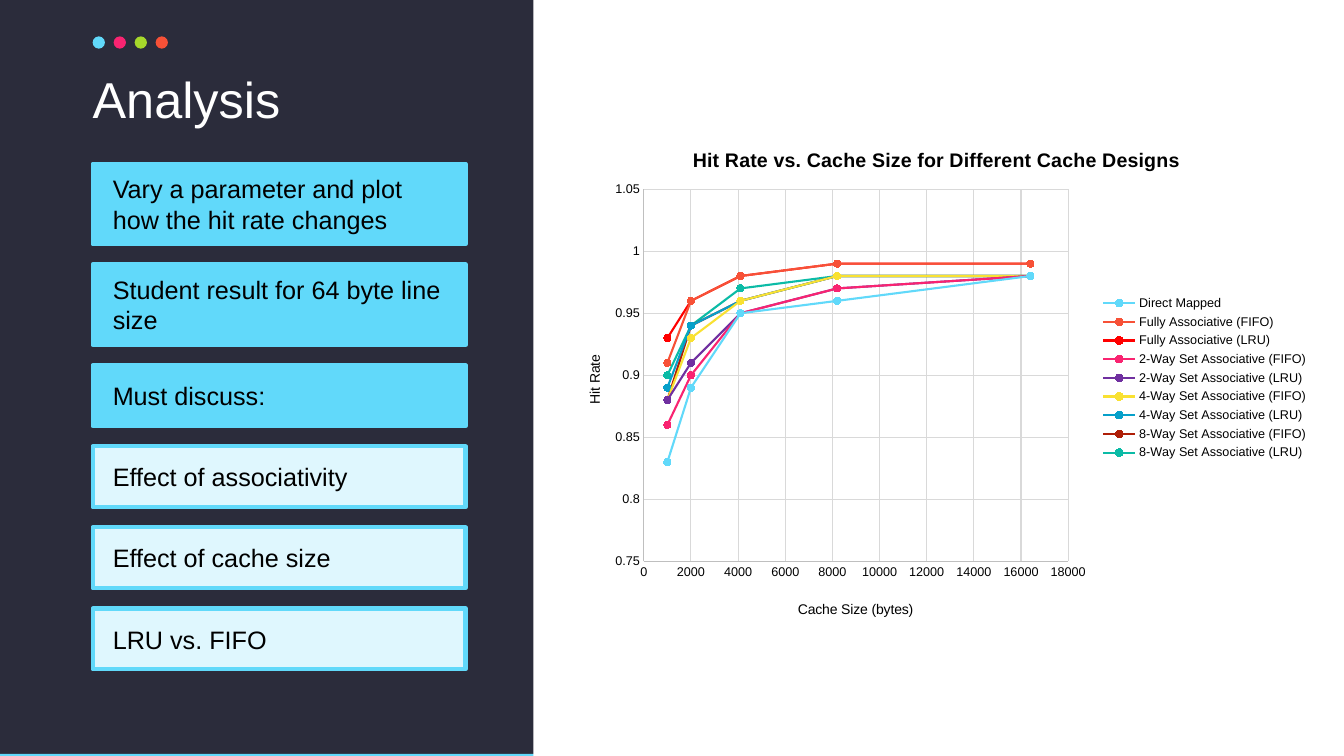
"""Build the Analysis slide with a hit rate chart."""
from lxml import etree
from pptx import Presentation
from pptx.chart.data import XyChartData
from pptx.dml.color import RGBColor
from pptx.enum.chart import XL_CHART_TYPE, XL_LEGEND_POSITION, XL_MARKER_STYLE, XL_TICK_MARK
from pptx.enum.shapes import MSO_SHAPE
from pptx.enum.text import MSO_ANCHOR, MSO_AUTO_SIZE, PP_ALIGN
from pptx.oxml.ns import qn
from pptx.util import Pt

RECT, OVAL = MSO_SHAPE.RECTANGLE, MSO_SHAPE.OVAL
SCATTER = XL_CHART_TYPE.XY_SCATTER_LINES
LEGEND_RIGHT = XL_LEGEND_POSITION.RIGHT
CIRCLE = XL_MARKER_STYLE.CIRCLE
NO_TICK = XL_TICK_MARK.NONE
TOP, MIDDLE = MSO_ANCHOR.TOP, MSO_ANCHOR.MIDDLE
GROW = MSO_AUTO_SIZE.SHAPE_TO_FIT_TEXT
LEFT = PP_ALIGN.LEFT

NAVY = RGBColor(0x2B, 0x2C, 0x3B)
WHITE = RGBColor(0xFF, 0xFF, 0xFF)
BLACK = RGBColor(0x00, 0x00, 0x00)
SKY = RGBColor(0x61, 0xD9, 0xFA)
PALE = RGBColor(0xDF, 0xF7, 0xFE)
PINK = RGBColor(0xF9, 0x24, 0x71)
LIME = RGBColor(0xA6, 0xD8, 0x2B)
ORANGE = RGBColor(0xF7, 0x51, 0x37)
RED = RGBColor(0xFF, 0x00, 0x00)
PURPLE = RGBColor(0x70, 0x30, 0xA0)
YELLOW = RGBColor(0xF9, 0xE1, 0x32)
BLUE = RGBColor(0x06, 0xA0, 0xCA)
BROWN = RGBColor(0xAE, 0x1E, 0x07)
TEAL = RGBColor(0x0B, 0xBB, 0xA6)
AXIS_GREY = RGBColor(0xBF, 0xBF, 0xBF)
GRID_GREY = RGBColor(0xD9, 0xD9, 0xD9)
FONT = "Arial"
MARGIN = 66.2


def add_block(kind, left, top, width, height, fill):
    sp = s.shapes.add_shape(kind, Pt(left), Pt(top), Pt(width), Pt(height))
    sp.shadow.inherit = False
    sp.fill.solid()
    sp.fill.fore_color.rgb = fill
    sp.line.fill.background()
    return sp


def set_layout(parent, **values):
    for old in parent.findall(qn("c:layout")):
        parent.remove(old)
    layout = etree.Element(qn("c:layout"))
    manual = etree.SubElement(layout, qn("c:manualLayout"))
    for name, value in values.items():
        etree.SubElement(manual, qn("c:" + name)).set("val", str(value))
    tx = parent.find(qn("c:tx"))
    parent.insert(0 if tx is None else 1, layout)


prs = Presentation()
prs.slide_width, prs.slide_height = Pt(960), Pt(540)
s = prs.slides.add_slide(prs.slide_layouts[5])
s.background.fill.solid()
s.background.fill.fore_color.rgb = NAVY

for i, color in enumerate([SKY, PINK, LIME, ORANGE]):
    add_block(OVAL, MARGIN + 15 * i, 26, 8.8, 8.8, color)
add_block(RECT, 0, 538.5, 960, 1.5, SKY)
add_block(RECT, 381, 0, 579, 540, WHITE)

title = s.shapes.title
title.left, title.top, title.width, title.height = Pt(MARGIN), Pt(53.3), Pt(368.6), Pt(78.5)
tf = title.text_frame
tf.margin_left = tf.margin_right = tf.margin_top = tf.margin_bottom = 0
tf.vertical_anchor = TOP
tf.auto_size = GROW
p = tf.paragraphs[0]
p.alignment = LEFT
p.line_spacing = 0.9
r = p.add_run()
r.text = "Analysis"
r.font.name, r.font.size = FONT, Pt(36)
r.font.color.rgb = WHITE

box_top = 116.9
for text, height, fill in [
    ("Vary a parameter and plot how the hit rate changes", 57.6, SKY),
    ("Student result for 64 byte line size", 57.6, SKY),
    ("Must discuss:", 43.5, SKY),
    ("Effect of associativity", 43.5, PALE),
    ("Effect of cache size", 43.5, PALE),
    ("LRU vs. FIFO", 43.5, PALE),
]:
    sp = add_block(RECT, MARGIN, box_top, 266.4, height, fill)
    sp.line.color.rgb = SKY
    sp.line.width = Pt(3)
    tf = sp.text_frame
    tf.word_wrap = True
    tf.vertical_anchor = MIDDLE
    tf.margin_left = tf.margin_right = tf.margin_top = tf.margin_bottom = Pt(14.4)
    p = tf.paragraphs[0]
    p.alignment = LEFT
    r = p.add_run()
    r.text = text
    r.font.name, r.font.size = FONT, Pt(18)
    r.font.color.rgb = BLACK
    box_top += height + 14.4

cache_sizes = [1000, 2000, 4100, 8200, 16400]
designs = [
    ("Direct Mapped", SKY, [0.83, 0.89, 0.95, 0.96, 0.98]),
    ("Fully Associative (FIFO)", ORANGE, [0.91, 0.96, 0.98, 0.99, 0.99]),
    ("Fully Associative (LRU)", RED, [0.93, 0.96, 0.98, 0.99, 0.99]),
    ("2-Way Set Associative (FIFO)", PINK, [0.86, 0.9, 0.95, 0.97, 0.98]),
    ("2-Way Set Associative (LRU)", PURPLE, [0.88, 0.91, 0.95, 0.97, 0.98]),
    ("4-Way Set Associative (FIFO)", YELLOW, [0.88, 0.93, 0.96, 0.98, 0.98]),
    ("4-Way Set Associative (LRU)", BLUE, [0.89, 0.94, 0.96, 0.98, 0.98]),
    ("8-Way Set Associative (FIFO)", BROWN, [0.88, 0.94, 0.96, 0.98, 0.98]),
    ("8-Way Set Associative (LRU)", TEAL, [0.9, 0.94, 0.97, 0.98, 0.98]),
]
data = XyChartData()
for name, _, rates in designs:
    series = data.add_series(name)
    for size, rate in zip(cache_sizes, rates):
        series.add_data_point(size, rate)

chart = s.shapes.add_chart(SCATTER, Pt(400.3), Pt(87.8), Pt(541.4), Pt(364.3), data).chart
chart.font.name, chart.font.size = FONT, Pt(10)
chart.font.color.rgb = BLACK
plot = chart.plots[0]
plot.vary_by_categories = False
for series, (_, color, _) in zip(plot.series, designs):
    series.smooth = False
    series.format.line.color.rgb = color
    series.format.line.width = Pt(1.5)
    series.marker.style, series.marker.size = CIRCLE, 5
    series.marker.format.fill.solid()
    series.marker.format.fill.fore_color.rgb = color
    series.marker.format.line.color.rgb = color

x_axis, y_axis = chart.category_axis, chart.value_axis
for axis, low, high, step in [(x_axis, 0, 18000, 2000), (y_axis, 0.75, 1.05, 0.05)]:
    axis.minimum_scale, axis.maximum_scale, axis.major_unit = low, high, step
    axis.major_tick_mark = axis.minor_tick_mark = NO_TICK
    axis.has_major_gridlines = True
    axis.major_gridlines.format.line.color.rgb = GRID_GREY
    axis.major_gridlines.format.line.width = Pt(0.75)
    axis.format.line.color.rgb = AXIS_GREY
    axis.format.line.width = Pt(0.75)
    axis.tick_labels.number_format = "General"
    axis.tick_labels.number_format_is_linked = False
    font = axis.tick_labels.font
    font.name, font.size = FONT, Pt(9)
    font.color.rgb = BLACK

for owner, text, size, bold, x, y in [
    (chart, "Hit Rate vs. Cache Size for Different Cache Designs", 14, True, 0.17, 0.04),
    (x_axis, "Cache Size (bytes)", 10, False, 0.31, 0.93),
    (y_axis, "Hit Rate", 10, False, 0.03, 0.45),
]:
    owner.has_title = True
    heading = owner.chart_title if owner is chart else owner.axis_title
    r = heading.text_frame.paragraphs[0].add_run()
    r.text = text
    r.font.name, r.font.size, r.font.bold = FONT, Pt(size), bold
    r.font.color.rgb = BLACK
    set_layout(heading._element, xMode="edge", yMode="edge", x=x, y=y)
body = y_axis.axis_title.text_frame._txBody.find(qn("a:bodyPr"))
body.set("rot", "-5400000")
body.set("vert", "horz")

chart.has_legend = True
chart.legend.position = LEGEND_RIGHT
chart.legend.include_in_layout = False
chart.legend.font.name, chart.legend.font.size = FONT, Pt(9)
chart.legend.font.color.rgb = BLACK
plot_area = chart._chartSpace.chart.plotArea
set_layout(plot_area, layoutTarget="inner", xMode="edge", yMode="edge",
           x=0.11, y=0.13, w=0.56, h=0.73)

prs.save("out.pptx")
